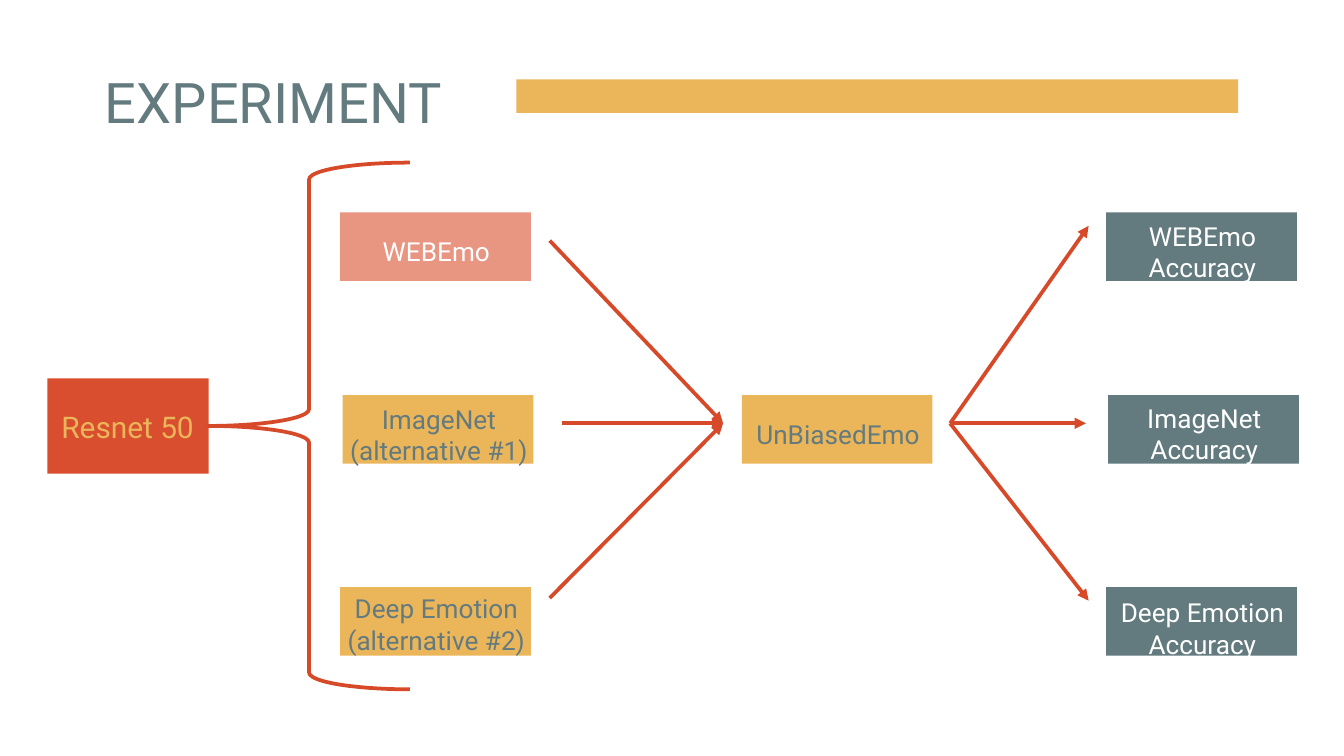
from pptx import Presentation
from pptx.dml.color import RGBColor
from pptx.enum import shapes, text
from pptx.oxml.ns import qn
from pptx.util import Pt
from lxml import etree

FONT = "Roboto"
COLORS = {
    "slate": "637B7F",
    "gold": "EBB55A",
    "red": "D84E2E",
    "line": "D74A29",
    "salmon": "E89582",
    "white": "FFFFFF",
}
COLORS = {name: RGBColor.from_string(value) for name, value in COLORS.items()}

prs = Presentation()
prs.slide_width, prs.slide_height = Pt(720), Pt(405)
slide = prs.slides.add_slide(prs.slide_layouts[5])


def add_block(left, top, width, height, color):
    block = slide.shapes.add_shape(
        shapes.MSO_SHAPE.RECTANGLE, Pt(left), Pt(top), Pt(width), Pt(height))
    block.shadow.inherit = False
    block.fill.solid()
    block.fill.fore_color.rgb = COLORS[color]
    block.line.fill.background()


def write(holder, words, size, color, align):
    """Fill a title or text box with one paragraph set from the top."""
    frame = holder.text_frame
    frame.word_wrap = True
    frame.auto_size = text.MSO_AUTO_SIZE.NONE
    frame.vertical_anchor = text.MSO_ANCHOR.TOP
    frame.margin_left = frame.margin_right = Pt(7.2)
    frame.margin_top = frame.margin_bottom = Pt(7.2)
    paragraph = frame.paragraphs[0]
    paragraph.text = words
    paragraph.alignment = align
    paragraph.font.name = FONT
    paragraph.font.size = Pt(size)
    paragraph.font.color.rgb = COLORS[color]


# Heading
title = slide.shapes.title
title.left, title.top, title.width, title.height = Pt(49), Pt(28.8), Pt(235.4), Pt(45.4)
write(title, "EXPERIMENT", 30, "slate", text.PP_ALIGN.LEFT)
add_block(276.7, 42.5, 386.6, 18, "gold")

# Base model and the brace over its training sets
add_block(25.4, 202.7, 86.4, 51.1, "red")
model = slide.shapes.add_textbox(Pt(25.2), Pt(211.7), Pt(86.4), Pt(32.4))
write(model, "Resnet 50", 16, "gold", text.PP_ALIGN.CENTER)

brace = slide.shapes.add_shape(
    shapes.MSO_SHAPE.LEFT_BRACE, Pt(111.6), Pt(87.1), Pt(108), Pt(282.2))
brace.shadow.inherit = False
brace.fill.background()
brace.line.color.rgb = COLORS["line"]
brace.line.width = Pt(2)

# Training sets, test set and results: words, left, top, label top, fill, font colour
top_row, middle_row, bottom_row = 113.8, 211.7, 314.6
datasets = [
    ("WEBEmo", 182.2, top_row, 118.8, "salmon", "white"),
    ("ImageNet (alternative #1)", 183.6, middle_row, 208.8, "gold", "slate"),
    ("Deep Emotion (alternative #2)", 182.2, bottom_row, 310.3, "gold", "slate"),
    ("UnBiasedEmo", 397.4, middle_row, 216.7, "gold", "slate"),
    ("WEBEmo Accuracy", 592.6, top_row, 110.9, "slate", "white"),
    ("ImageNet Accuracy", 593.6, middle_row, 208.1, "slate", "white"),
    ("Deep Emotion Accuracy", 592.6, bottom_row, 312.5, "slate", "white"),
]
for words, left, top, label_top, fill, font_color in datasets:
    add_block(left, top, 102.2, 36.7, fill)
    label = slide.shapes.add_textbox(Pt(left - 9.3), Pt(label_top), Pt(121.7), Pt(20.2))
    write(label, words, 14, font_color, text.PP_ALIGN.CENTER)

# Arrows into and out of the test set
test_in, test_out = (387.4, 226.8), (509, 226.8)
arrows = [
    ((294.5, 128.9), test_in),
    ((301, 226.8), test_in),
    ((294.5, 320.4), test_in),
    (test_out, (583.2, 321.8)),
    (test_out, (581.8, 226.8)),
    (test_out, (583.2, 121)),
]
for start, end in arrows:
    arrow = slide.shapes.add_connector(
        shapes.MSO_CONNECTOR.STRAIGHT, *(Pt(value) for value in start + end))
    arrow.line.color.rgb = COLORS["line"]
    arrow.line.width = Pt(2)
    etree.SubElement(arrow.line._get_or_add_ln(), qn("a:tailEnd"), type="triangle")
    etree.SubElement(arrow._element.spPr, qn("a:effectLst"))

prs.save("out.pptx")
